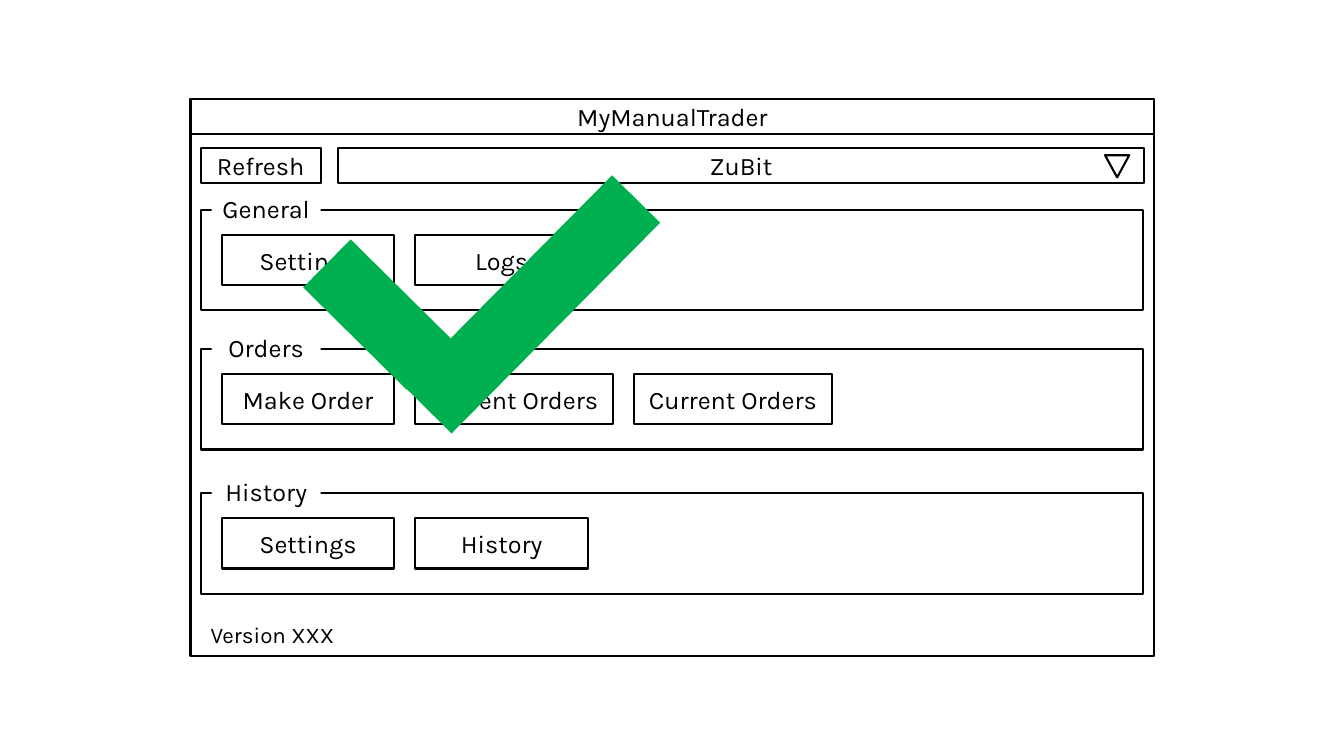
"""Build a wireframe slide of a trading window with a green check mark."""
from pptx import Presentation
from pptx.dml.color import RGBColor
from pptx.enum.shapes import MSO_SHAPE
from pptx.enum.text import MSO_ANCHOR, PP_ALIGN
from pptx.util import Inches, Pt

RECTANGLE = MSO_SHAPE.RECTANGLE
TRIANGLE = MSO_SHAPE.ISOSCELES_TRIANGLE
CENTER, LEFT = PP_ALIGN.CENTER, PP_ALIGN.LEFT
MIDDLE, TOP = MSO_ANCHOR.MIDDLE, MSO_ANCHOR.TOP

BLACK, WHITE, GREEN = "000000", "FFFFFF", "00B050"
BAR_HEIGHT = 0.35
GROUP_LEFT = 1.99
BUTTON_LEFT, BUTTON_GAP = 2.2, 0.21
GROUPS = [
    ("General", 2.08, [("Settings", 1.71), ("Logs", 1.71)]),
    ("Orders", 3.46, [("Make Order", 1.71), ("Current Orders", 1.96), ("Current Orders", 1.96)]),
    ("History", 4.89, [("Settings", 1.71), ("History", 1.71)]),
]


def color(value):
    return RGBColor.from_string(value)


def write_text(shape, text, size=18, font="Karla", fill=BLACK, align=CENTER, anchor=MIDDLE):
    frame = shape.text_frame
    frame.word_wrap = True
    frame.vertical_anchor = anchor
    paragraph = frame.paragraphs[0]
    paragraph.alignment = align
    run = paragraph.add_run()
    run.text = text
    run.font.size = Pt(size)
    run.font.name = font
    run.font.color.rgb = color(fill)


class Wireframe:
    def __init__(self, slide, line_width=1.5):
        self.slide = slide
        self.line_width = line_width

    def box(self, left, top, width, height, text="", kind=RECTANGLE, fill=WHITE,
            line=BLACK, rotation=0):
        shape = self.slide.shapes.add_shape(
            kind, Inches(left), Inches(top), Inches(width), Inches(height))
        shape.shadow.inherit = False
        shape.rotation = rotation
        shape.fill.solid()
        shape.fill.fore_color.rgb = color(fill)
        if line:
            shape.line.color.rgb = color(line)
            shape.line.width = Pt(self.line_width)
        else:
            shape.line.fill.background()
        if text:
            write_text(shape, text)

    def label(self, left, top, width, height, text, **style):
        shape = self.slide.shapes.add_textbox(
            Inches(left), Inches(top), Inches(width), Inches(height))
        write_text(shape, text, **style)

    def button_group(self, title, top, buttons):
        self.box(GROUP_LEFT, top, 9.35, 1)
        self.box(2.1, top - 0.19, 1.08, BAR_HEIGHT, title, line=None)
        left = BUTTON_LEFT
        for text, width in buttons:
            self.box(left, top + 0.25, width, 0.5, text)
            left += width + BUTTON_GAP

    def check_mark(self):
        self.box(3.42, 2.4, 0.67, 1.44, fill=GREEN, line=None, rotation=314.7)
        self.box(4.94, 1.55, 0.67, 2.94, fill=GREEN, line=None, rotation=44.7)


def main():
    presentation = Presentation()
    presentation.slide_width = Inches(13.33)
    presentation.slide_height = Inches(7.5)
    slide = presentation.slides.add_slide(presentation.slide_layouts[6])
    wireframe = Wireframe(slide)

    wireframe.box(1.89, 0.98, 9.56, 5.53)
    wireframe.box(1.89, 0.98, 9.56, BAR_HEIGHT, "MyManualTrader")
    wireframe.box(GROUP_LEFT, 1.47, 1.19, BAR_HEIGHT, "Refresh")
    wireframe.box(3.35, 1.47, 8, BAR_HEIGHT, "ZuBit")
    wireframe.box(10.96, 1.54, 0.24, 0.22, kind=TRIANGLE, rotation=180)
    for title, top, buttons in GROUPS:
        wireframe.button_group(title, top, buttons)
    wireframe.label(GROUP_LEFT, 6.11, 3.93, 0.37, "Version XXX", size=16, align=LEFT, anchor=TOP)
    wireframe.check_mark()

    presentation.save("out.pptx")


if __name__ == "__main__":
    main()
